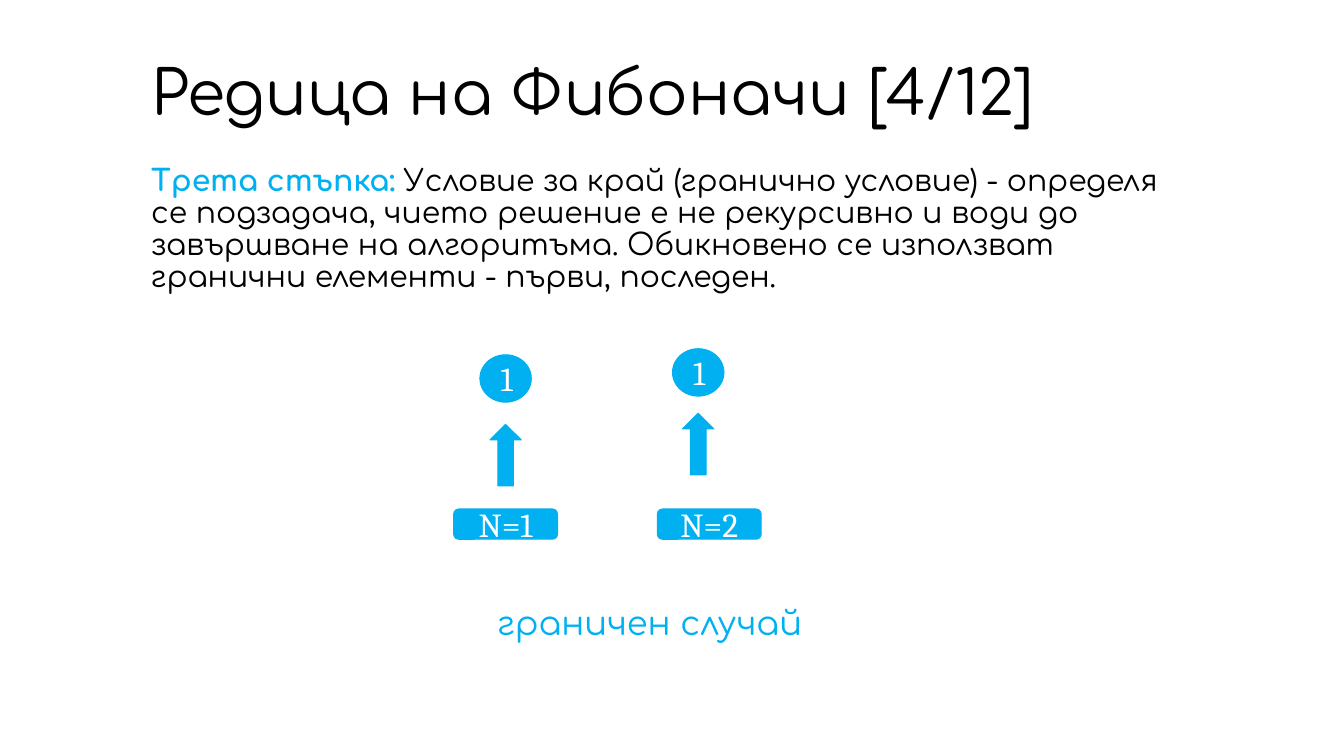
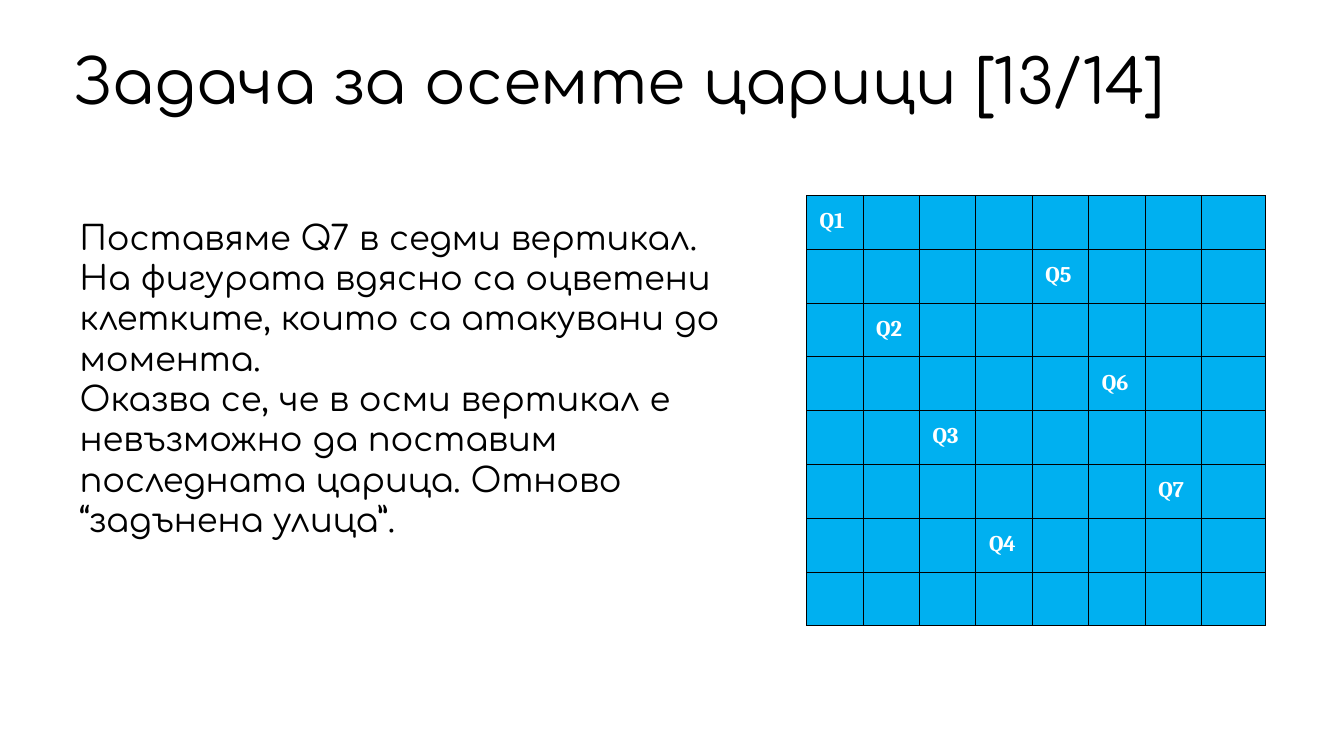
from lxml import etree
from pptx import Presentation
from pptx.dml.color import RGBColor
from pptx.enum.shapes import MSO_SHAPE
from pptx.enum.text import MSO_ANCHOR, MSO_AUTO_SIZE, PP_ALIGN
from pptx.oxml.ns import qn
from pptx.util import Inches, Pt

ELLIPSE, ARROW, PLATE = MSO_SHAPE.OVAL, MSO_SHAPE.UP_ARROW, MSO_SHAPE.ROUNDED_RECTANGLE
LEFT, CENTER = PP_ALIGN.LEFT, PP_ALIGN.CENTER
TOP, MIDDLE = MSO_ANCHOR.TOP, MSO_ANCHOR.MIDDLE
NO_FIT = MSO_AUTO_SIZE.NONE

COLORS = {"accent": "00B0F0", "text": "000000", "light": "FFFFFF"}
TITLE = {"name": "Comfortaa", "size": Pt(44), "color": "text"}
LEAD = {"name": "Comfortaa", "size": Pt(21.3), "color": "text", "bold": False}
LEAD_KEY = {**LEAD, "color": "accent", "bold": True}
BODY = {"name": "Comfortaa", "size": Pt(24), "color": "text"}
CAPTION = {**BODY, "color": "accent"}
LABEL = {"name": "Cambria", "size": Pt(24), "color": "light"}
QUEEN = {**LABEL, "size": Pt(16), "bold": True}
PLACEHOLDER_MARGINS = {"margin_left": 0.12, "margin_top": 0.04,
                       "margin_right": 0.12, "margin_bottom": 0.04}
SHAPE_MARGINS = {side: 0.13 for side in PLACEHOLDER_MARGINS}


def add_span(para, text, style):
    span = para.add_run()
    span.text = text
    for name, value in style.items():
        if name == "color":
            span.font.color.rgb = RGBColor.from_string(COLORS[value])
        else:
            setattr(span.font, name, value)


def write(target, paragraphs, margins, anchor, align, spacing=1.0):
    frame = target.text_frame
    for side, inches in margins.items():
        setattr(target if hasattr(target, side) else frame, side, Inches(inches))
    target_anchor = target if hasattr(target, "vertical_anchor") else frame
    target_anchor.vertical_anchor = anchor
    for index, spans in enumerate(paragraphs):
        para = frame.paragraphs[0] if index == 0 else frame.add_paragraph()
        properties = para._p.get_or_add_pPr()
        properties.set("marL", "0")
        properties.set("indent", "0")
        etree.SubElement(properties, qn("a:buNone"))
        para.alignment = align
        para.line_spacing = spacing
        para.space_before = Pt(0)
        for text, style in spans:
            add_span(para, text, style)


deck = Presentation()
deck.slide_width, deck.slide_height = Inches(13.33), Inches(7.5)

PAGES = [
    {
        "title": "Редица на Фибоначи [4/12]",
        "title_at": (1.38, 0.53, 10.49, 0.84),
        "body": [[
            ("Трета стъпка: ", LEAD_KEY),
            ("Условие за край (гранично условие) - определя се подзадача, чието "
             "решение е не рекурсивно и води до завършване на алгоритъма. "
             "Обикновено се използват гранични елементи - първи, последен.", LEAD),
        ]],
        "body_at": (1.38, 1.6, 10.49, 2.04),
        "spacing": 0.9,
    },
    {
        "title": "Задача за осемте царици [13/14]",
        "title_at": (0.61, 0.42, 12.12, 0.84),
        "body": [
            [("Поставяме Q7 в седми вертикал.", BODY)],
            [("На фигурата вдясно са оцветени клетките, които са атакувани до момента.", BODY)],
            [("Оказва се, че в осми вертикал е невъзможно да поставим последната "
              "царица. Отново “задънена улица”.", BODY)],
        ],
        "body_at": (0.67, 2.11, 6.87, 3.92),
        "spacing": 1.0,
    },
]

pages = []
for content in PAGES:
    page = deck.slides.add_slide(deck.slide_layouts[1])
    pages.append(page)
    title, body = page.shapes.title, page.placeholders[1]
    for box, place in ((title, content["title_at"]), (body, content["body_at"])):
        box.left, box.top, box.width, box.height = map(Inches, place)
        box.text_frame.auto_size = NO_FIT
        box.text_frame.word_wrap = True
    write(title, [[(content["title"], TITLE)]], PLACEHOLDER_MARGINS, MIDDLE, LEFT, 0.9)
    write(body, content["body"], PLACEHOLDER_MARGINS, TOP, LEFT, content["spacing"])

fibonacci, queens = pages

BASE_CASES = [
    ("N=1", 4.5, 4.76, 3.52, 4.86, 4.21),
    ("N=2", 6.52, 6.67, 3.46, 6.77, 4.1),
]
for name, plate_left, value_left, value_top, arrow_left, arrow_top in BASE_CASES:
    for kind, place, text, align in (
        (ELLIPSE, (value_left, value_top, 0.51, 0.47), "1", LEFT),
        (ARROW, (arrow_left, arrow_top, 0.31, 0.61), "", CENTER),
        (PLATE, (plate_left, 5.05, 1.03, 0.3), name, CENTER),
    ):
        shape = fibonacci.shapes.add_shape(kind, *map(Inches, place))
        shape.shadow.inherit = False
        shape.fill.solid()
        shape.fill.fore_color.rgb = RGBColor.from_string(COLORS["accent"])
        shape.line.color.rgb = RGBColor.from_string(COLORS["accent"])
        shape.line.width = Pt(0.75)
        if text:
            write(shape, [[(text, LABEL)]], SHAPE_MARGINS, MIDDLE, align)

caption = fibonacci.shapes.add_textbox(*map(Inches, (3.06, 5.92, 6.77, 0.78)))
caption.text_frame.word_wrap = True
write(caption, [[("граничен случай", CAPTION)]], {}, TOP, CENTER)

SIZE = 8
QUEEN_ROWS = [0, 2, 4, 6, 1, 3, 5]
frame = queens.shapes.add_table(SIZE, SIZE, *map(Inches, (8, 1.94, 4.54, 4.27)))
board = frame.table
board.first_row = board.horz_banding = False
for column in board.columns:
    column.width = Inches(0.56)
board.columns[SIZE - 1].width = Inches(0.63)
for row in range(SIZE):
    for column in range(SIZE):
        cell = board.cell(row, column)
        if column < len(QUEEN_ROWS) and QUEEN_ROWS[column] == row:
            write(cell, [[(f"Q{column + 1}", QUEEN)]], SHAPE_MARGINS, TOP, LEFT)
        properties = cell._tc.get_or_add_tcPr()
        for side in ("a:lnL", "a:lnR", "a:lnT", "a:lnB"):
            border = etree.SubElement(properties, qn(side), w=str(Pt(0.75)))
            ink = etree.SubElement(border, qn("a:solidFill"))
            etree.SubElement(ink, qn("a:srgbClr"), val=COLORS["text"])
        cell.fill.solid()
        cell.fill.fore_color.rgb = RGBColor.from_string(COLORS["accent"])

deck.save("out.pptx")
